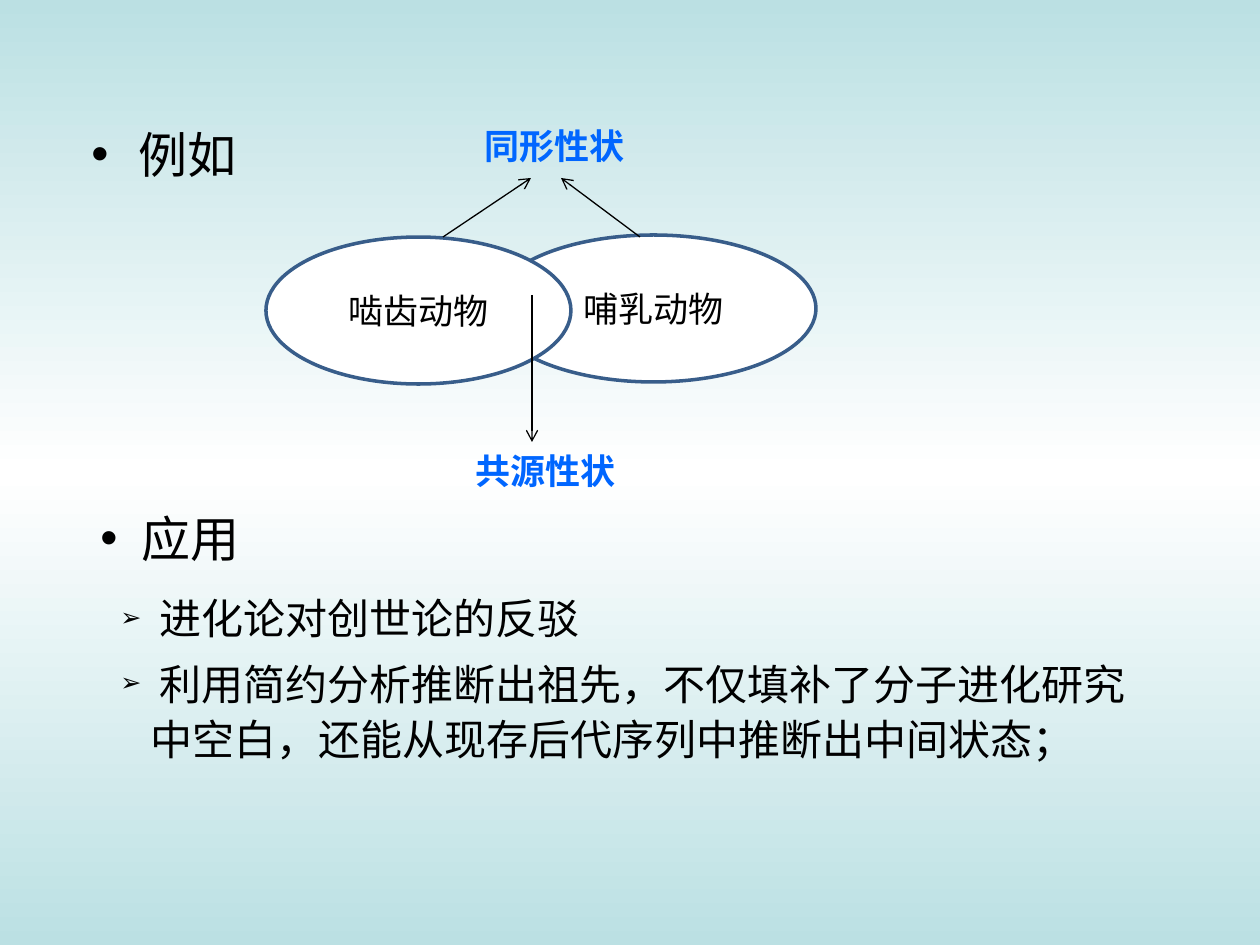
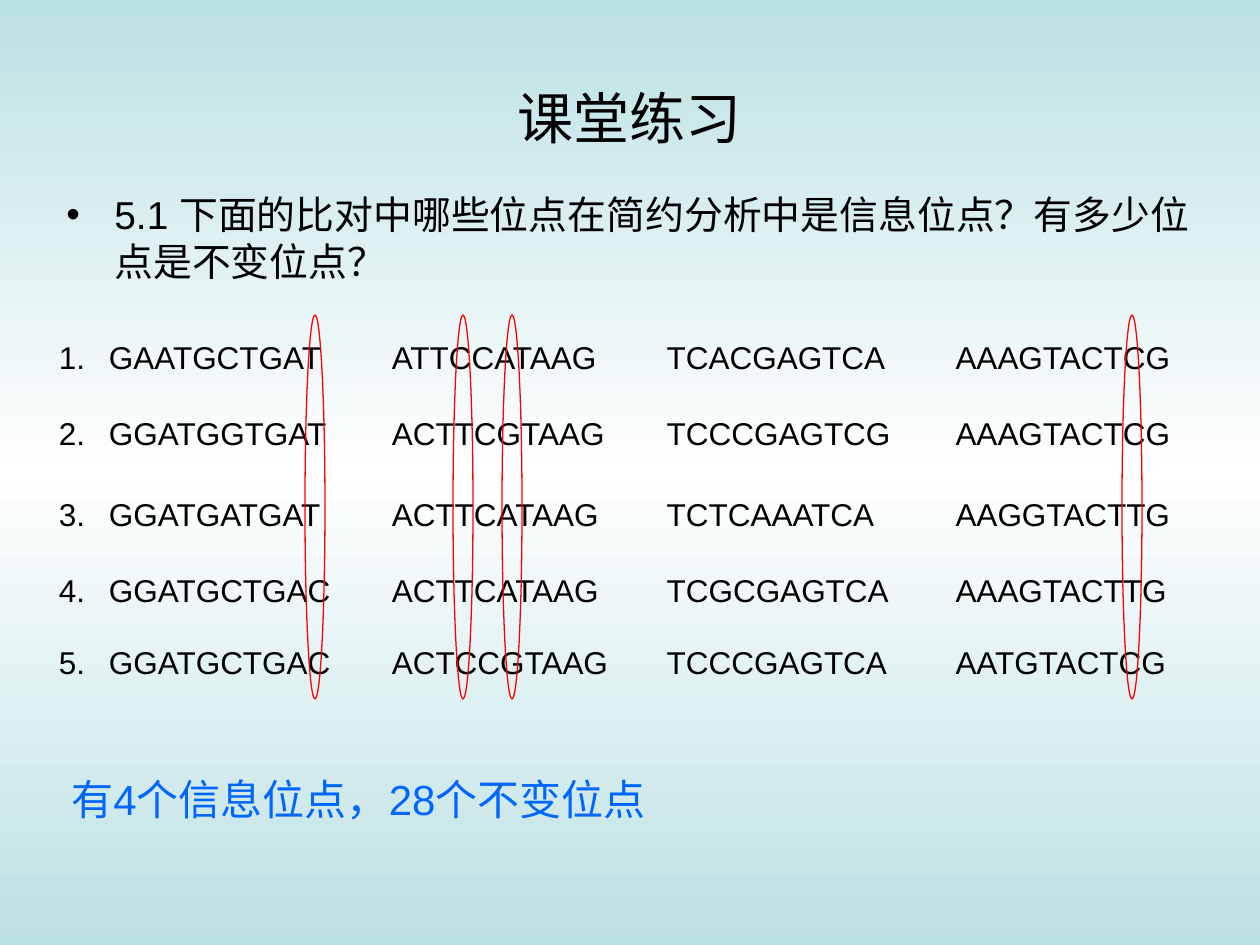
from dataclasses import dataclass

from lxml import etree
from pptx import Presentation
from pptx.dml.color import RGBColor
from pptx.enum.shapes import MSO_CONNECTOR, MSO_SHAPE
from pptx.enum.text import MSO_ANCHOR, PP_ALIGN
from pptx.oxml.ns import qn
from pptx.util import Pt

PX = 914400 / 126
NO_TABLE_STYLE = "{2D5ABB26-0587-4C30-8999-92F81FD0307C}"


@dataclass(frozen=True)
class Theme:
    sky: str = "BBE0E3"
    white: str = "FFFFFF"
    ink: str = "000000"
    accent: str = "0066FF"
    outline: str = "385D8A"
    marker: str = "FF0000"
    latin: str = "Arial"
    cjk: str = "Noto Sans CJK SC"
    diagram: str = "Calibri"
    title: float = 32
    heading: float = 28
    body: float = 24
    question: float = 22.2
    label: float = 20
    sequence: float = 18
    hairline: float = 0.75
    thick: float = 2


T = Theme()

# Content of the example slide, boxes as left, top, width, height
ANIMALS = [("哺乳动物", (491, 235, 325, 147)), ("啮齿动物", (266, 237, 305, 147))]
TRAITS = [("同形性状", (472, 118, 178, 55)), ("共源性状", (463, 443, 217, 55))]
ARROWS = [((443, 237), (531, 178)), ((640, 237), (561, 178)), ((532, 295), (532, 442))]
EXAMPLE = "例如"
USES_HEADING = " 应用"
USES = [
    " 进化论对创世论的反驳",
    " 利用简约分析推断出祖先，不仅填补了分子进化研究中空白，还能从现存后代序列中推断出中间状态；",
]

# Content of the exercise slide
TITLE = "课堂练习"
QUESTION = "5.1 下面的比对中哪些位点在简约分析中是信息位点？有多少位点是不变位点？"
ANSWER = "有4个信息位点，28个不变位点"
ALIGNMENT = [
    ("GAATGCTGAT", "ATTCCATAAG", "TCACGAGTCA", "AAAGTACTCG"),
    ("GGATGGTGAT", "ACTTCGTAAG", "TCCCGAGTCG", "AAAGTACTCG"),
    ("GGATGATGAT", "ACTTCATAAG", "TCTCAAATCA", "AAGGTACTTG"),
    ("GGATGCTGAC", "ACTTCATAAG", "TCGCGAGTCA", "AAAGTACTTG"),
    ("GGATGCTGAC", "ACTCCGTAAG", "TCCCGAGTCA", "AATGTACTCG"),
]
BLOCK_WIDTHS = [258, 250, 264, 242]
ROW_HEIGHTS = [76, 81, 76, 72, 72]
NUMBER_WIDTH, GAP_WIDTH = 50, 24
SITE_CENTRES = [315, 463, 512, 1132]


def px(n):
    return round(n * PX)


def rgb(color):
    return RGBColor.from_string(color)


def add_run(p, text, size, font=T.latin, color=T.ink, bold=False):
    r = p.add_run()
    r.text = text
    r.font.size, r.font.name, r.font.bold = Pt(size), font, bold
    r.font.color.rgb = rgb(color)
    etree.SubElement(r.font._element, qn("a:ea"), typeface=T.diagram)


def set_bullet(p, char, indent, percent=100):
    pPr = p._p.get_or_add_pPr()
    pPr.set("marL", str(px(indent)))
    pPr.set("indent", str(-px(indent)))
    color = etree.SubElement(pPr, qn("a:buClr"))
    etree.SubElement(color, qn("a:srgbClr"), val=T.ink)
    etree.SubElement(pPr, qn("a:buSzPct"), val=str(percent * 1000))
    etree.SubElement(pPr, qn("a:buFont"), typeface=T.latin)
    etree.SubElement(pPr, qn("a:buChar"), char=char)


def add_text(slide, box, lines, size, bullet=None, align=None,
             anchor=MSO_ANCHOR.TOP, spacing=None, before=0, **style):
    tf = slide.shapes.add_textbox(*map(px, box)).text_frame
    tf.word_wrap = True
    tf.vertical_anchor = anchor
    for i, line in enumerate(lines):
        p = tf.add_paragraph() if i else tf.paragraphs[0]
        if bullet:
            set_bullet(p, *bullet)
        if align is not None:
            p.alignment = align
        if spacing:
            p.line_spacing = spacing
        if i:
            p.space_before = Pt(before)
        add_run(p, line, size, **style)


def add_ellipse(slide, box, line, width, fill=None):
    sp = slide.shapes.add_shape(MSO_SHAPE.OVAL, *map(px, box))
    sp.shadow.inherit = False
    if fill:
        sp.fill.solid()
        sp.fill.fore_color.rgb = rgb(fill)
    else:
        sp.fill.background()
    sp.line.color.rgb = rgb(line)
    sp.line.width = Pt(width)
    return sp


def add_arrow(slide, start, end):
    cx = slide.shapes.add_connector(MSO_CONNECTOR.STRAIGHT, *map(px, start + end))
    cx.line.color.rgb = rgb(T.ink)
    cx.line.width = Pt(T.hairline)
    etree.SubElement(cx.line._get_or_add_ln(), qn("a:tailEnd"), type="arrow")
    etree.SubElement(cx._element.spPr, qn("a:effectLst"))


def set_background(master):
    fill = master.background.fill
    fill.gradient()
    fill.gradient_angle = 90
    stops = master._element.find(".//" + qn("p:bg")).find(".//" + qn("a:gsLst"))
    for stop in list(stops):
        stops.remove(stop)
    for pos, color in ((0, T.sky), (50, T.white), (100, T.sky)):
        stop = etree.SubElement(stops, qn("a:gs"), pos=str(pos * 1000))
        etree.SubElement(stop, qn("a:srgbClr"), val=color)


def build_example(slide):
    # Overlapping animal groups
    for name, box in ANIMALS:
        sp = add_ellipse(slide, box, T.outline, T.thick, T.white)
        tf = sp.text_frame
        tf.vertical_anchor = MSO_ANCHOR.MIDDLE
        p = tf.paragraphs[0]
        p.alignment = PP_ALIGN.CENTER
        add_run(p, name, T.label, T.diagram)

    # Headings, trait labels and arrows
    add_text(slide, (79, 118, 1134, 74), [EXAMPLE], T.heading, bullet=("•", 47))
    for start, end in ARROWS:
        add_arrow(slide, start, end)
    for name, box in TRAITS:
        add_text(slide, box, [name], T.label, color=T.accent, bold=True)
    add_text(slide, (88, 502, 217, 72), [USES_HEADING], T.heading,
             bullet=("•", 30), font=T.cjk)

    # Uses of the method
    add_text(slide, (108, 581, 1053, 190), USES, T.body, bullet=("➢", 30, 60),
             spacing=1.1, before=6, font=T.cjk)


def add_alignment(slide, left, top):
    widths = [NUMBER_WIDTH]
    for i, width in enumerate(BLOCK_WIDTHS):
        widths += [GAP_WIDTH, width] if i else [width]
    size = (sum(widths), sum(ROW_HEIGHTS))
    frame = slide.shapes.add_table(len(ALIGNMENT), len(widths),
                                   *map(px, (left, top) + size))
    table = frame.table
    table.first_row = table.horz_banding = False
    table._tbl.tblPr.find(qn("a:tableStyleId")).text = NO_TABLE_STYLE
    for column, width in zip(table.columns, widths):
        column.width = px(width)
    for row, height in zip(table.rows, ROW_HEIGHTS):
        row.height = px(height)

    # Number first, then one block in every odd column
    for i, blocks in enumerate(ALIGNMENT):
        texts = {0: f"{i + 1}."}
        texts.update({2 * j + 1: block for j, block in enumerate(blocks)})
        for j in range(len(widths)):
            cell = table.cell(i, j)
            cell.fill.background()
            cell.margin_left = cell.margin_right = px(10)
            cell.margin_top = cell.margin_bottom = px(6)
            if j in texts:
                p = cell.text_frame.paragraphs[0]
                p.alignment = PP_ALIGN.JUSTIFY
                add_run(p, texts[j], T.sequence)


def build_exercise(slide):
    # Title and question
    add_text(slide, (63, 38, 1134, 158), [TITLE], T.title,
             align=PP_ALIGN.CENTER, anchor=MSO_ANCHOR.MIDDLE)
    add_text(slide, (54, 185, 1176, 113), [QUESTION], T.question, bullet=("•", 48))

    # Sequences, answer and marked sites
    add_alignment(slide, 49, 335)
    add_text(slide, (59, 767, 1142, 63), [ANSWER], T.body, color=T.accent)
    for centre in SITE_CENTRES:
        add_ellipse(slide, (centre - 10, 315, 20, 384), T.marker, T.hairline)


def main():
    prs = Presentation()
    prs.slide_width, prs.slide_height = px(1260), px(945)
    set_background(prs.slide_master)
    for build in (build_example, build_exercise):
        build(prs.slides.add_slide(prs.slide_layouts[6]))
    prs.save("out.pptx")


if __name__ == "__main__":
    main()
